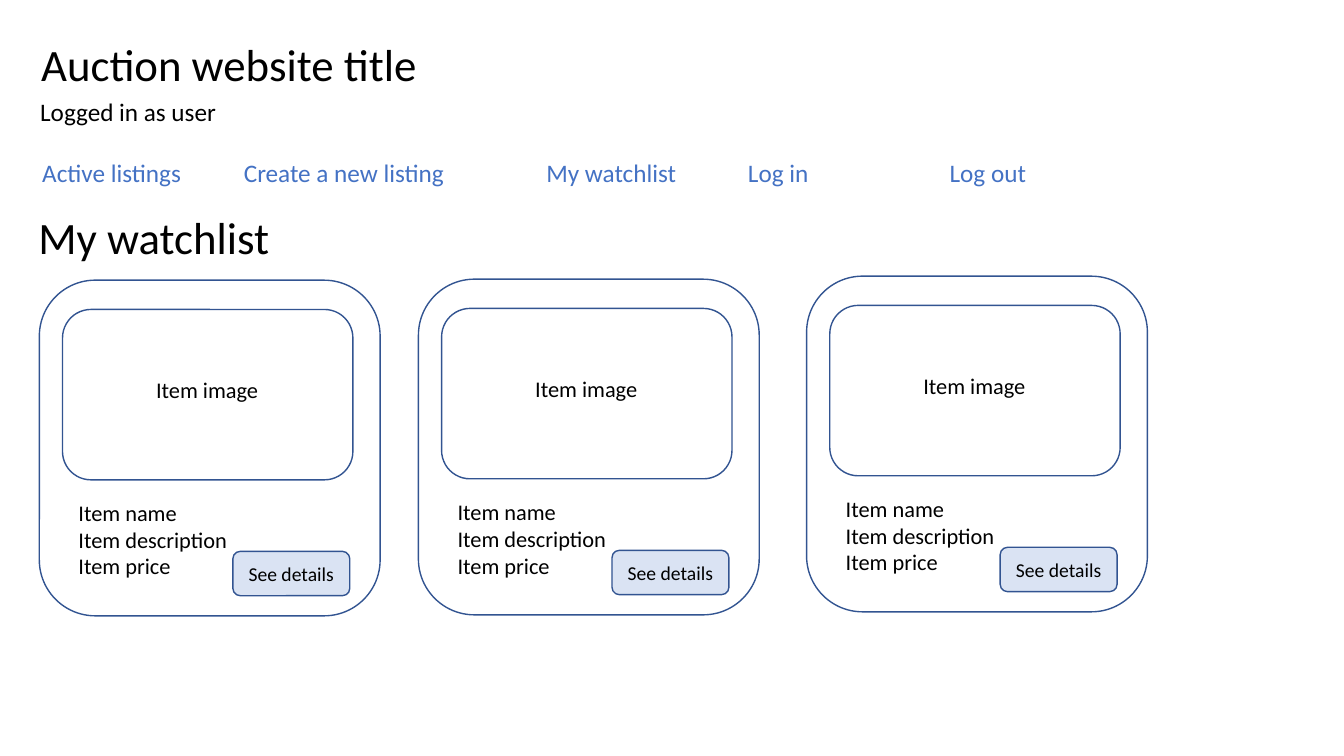
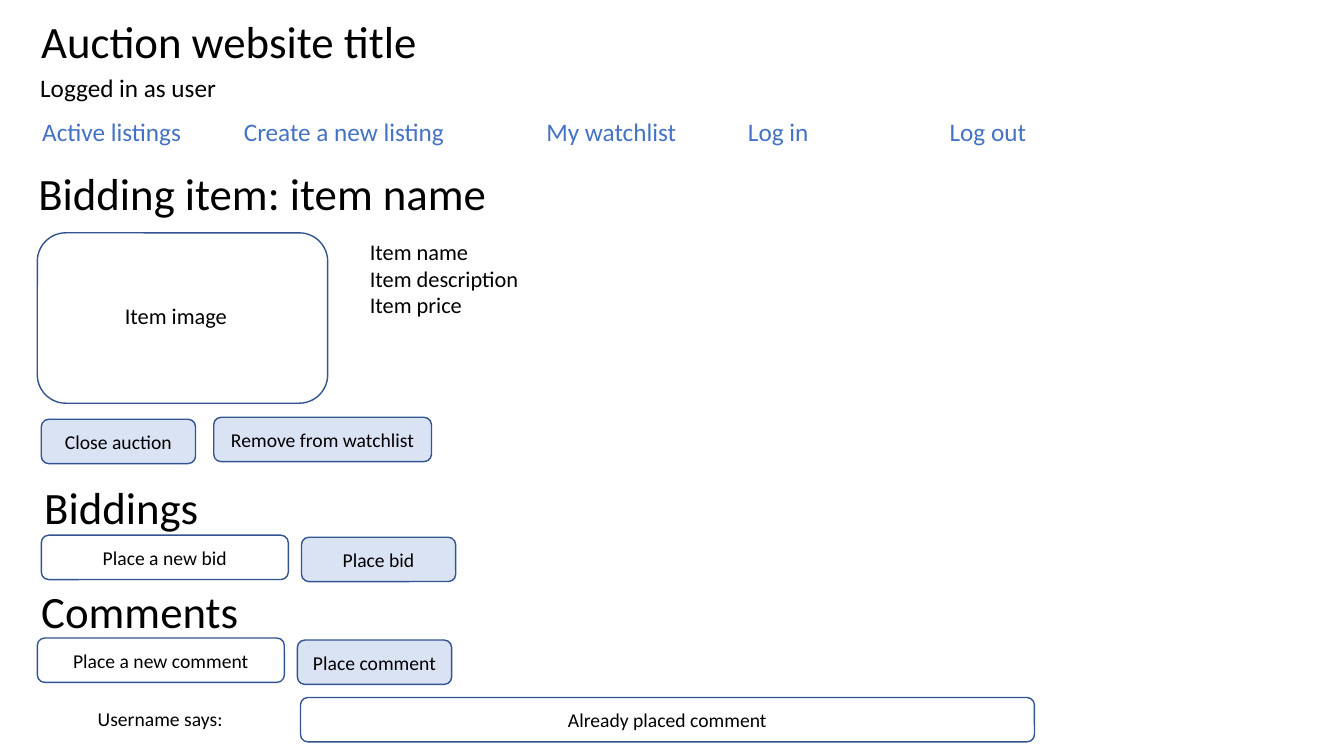
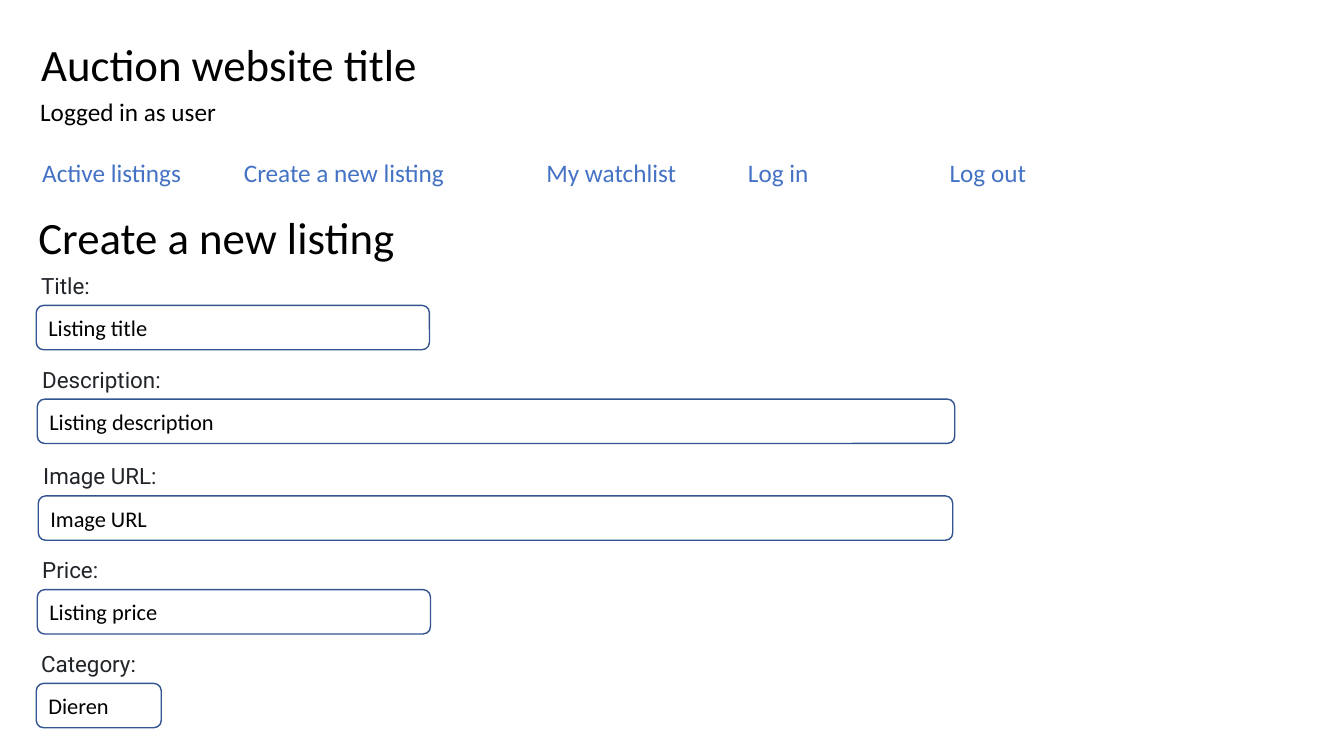
from lxml import etree
from pptx import Presentation
from pptx import util as u
from pptx.dml.color import RGBColor
from pptx.enum import shapes, text
from pptx.oxml import ns

SCALE = 9144
COLOURS = {"text": "000000", "link": "4472C4", "label": "212529",
           "outline": "325491", "button": "DAE3F3"}
STYLES = {
    "heading": ({"size": u.Pt(32), "name": "Calibri"}, "text"),
    "status": ({"size": u.Pt(18), "name": "Calibri"}, "text"),
    "link": ({"size": u.Pt(18), "name": "Calibri"}, "link"),
    "body": ({"size": u.Pt(16), "name": "Calibri"}, "text"),
    "small": ({"size": u.Pt(14), "name": "Calibri"}, "text"),
    "label": ({"size": u.Pt(16), "name": "Roboto"}, "label"),
}
LINKS = ["Active listings", "Create a new listing", "My watchlist", "Log in", "Log out"]
LINK_STOPS = [200, 500, 700, 900]
ITEM_LINES = ["Item name", "Item description", "Item price"]
HEADER_TOPS = (32, 91, 151, 203)
COMPACT_TOPS = (9, 67, 111, 159)
CARDS = [(39, 278), (415, 277), (800, 274)]
FIELDS = [
    ("Title:", "Listing title", 31, 265, 390),
    ("Description:", "Listing description", 32, 358, 910),
    ("Image URL:", "Image URL", 33, 454, 907),
    ("Price:", "Listing price", 32, 547, 390),
    ("Category:", "Dieren", 31, 640, 124),
]
BUTTONS = [
    ("Close auction", 41, 416, 153),
    ("Remove from watchlist", 212, 414, 216),
    ("Place bid", 299, 533, 153),
    ("Place comment", 295, 635, 153),
]
INPUTS = [
    ("Place a new bid", 41, 531, 245),
    ("Place a new comment", 37, 633, 245),
    ("Already placed comment", 298, 692, 728),
]


def px(*lengths):
    return [u.Emu(length * SCALE) for length in lengths]


def colour(name):
    return RGBColor.from_string(COLOURS[name])


class Wireframe:
    """Draws the auction site's pages in one shared style."""

    def __init__(self):
        self.presentation = Presentation()
        self.presentation.slide_width, self.presentation.slide_height = px(1333, 750)
        self.slide = None

    def page(self, title, tops, width=465):
        layout = self.presentation.slide_layouts[5]
        self.slide = self.presentation.slides.add_slide(layout)
        site_top, status_top, links_top, title_top = tops
        self.text(["Auction website title"], "heading", 31, site_top, 465, 64)
        self.text(["Logged in as user"], "status", 30, status_top, 465, 40)
        self.links(links_top)
        heading = self.slide.shapes.title
        heading.left, heading.top, heading.width, heading.height = px(28, title_top, width, 64)
        self.set_text(heading, [title], "heading")

    def set_text(self, shape, lines, style, align="LEFT", anchor="TOP"):
        frame = shape.text_frame
        layout = {"word_wrap": True, "auto_size": text.MSO_AUTO_SIZE.NONE,
                  "vertical_anchor": text.MSO_ANCHOR[anchor]}
        for name, value in layout.items():
            setattr(frame, name, value)
        frame.text = "\n".join(lines)
        values, colour_name = STYLES[style]
        for paragraph in frame.paragraphs:
            paragraph.alignment = text.PP_ALIGN[align]
            font = paragraph.runs[0].font
            for name, value in values.items():
                setattr(font, name, value)
            font.color.rgb = colour(colour_name)

    def text(self, lines, style, left, top, width, height):
        shape = self.slide.shapes.add_textbox(*px(left, top, width, height))
        self.set_text(shape, lines, style)
        return shape

    def links(self, top):
        shape = self.text(["\t".join(LINKS)], "link", 32, top, 1051, 40)
        properties = shape.text_frame.paragraphs[0]._p.get_or_add_pPr()
        stops = etree.SubElement(properties, ns.qn("a:tabLst"))
        for stop in LINK_STOPS:
            etree.SubElement(stops, ns.qn("a:tab"), pos=str(stop * SCALE), algn="l")

    def box(self, left, top, width, height, fill=None, line="outline"):
        shape = self.slide.shapes.add_shape(
            shapes.MSO_SHAPE.ROUNDED_RECTANGLE, *px(left, top, width, height))
        shape.shadow.inherit = False
        for target, name in ((shape.fill, fill), (shape.line.fill, line)):
            if name:
                target.solid()
                target.fore_color.rgb = colour(name)
            else:
                target.background()
        if line:
            shape.line.width = u.Pt(1)
        return shape

    def control(self, label, left, top, width, style="small", align="CENTER", **look):
        shape = self.box(left, top, width, 44, **look)
        self.set_text(shape, [label], style, align, "MIDDLE")

    def button(self, label, left, top, width):
        self.control(label, left, top, width, fill="button")

    def picture_box(self, left, top, label_left, label_top):
        self.box(left, top, 288, 169)
        self.text(["Item image"], "body", label_left, label_top, 155, 37)

    def item_lines(self, left, top):
        self.text(ITEM_LINES, "body", left, top, 284, 91)

    def card(self, left, top):
        self.box(left, top, 338, 333)
        self.picture_box(left + 23, top + 29, left + 106, top + 90)
        self.item_lines(left + 29, top + 212)
        self.button("See details", left + 192, top + 269, 116)

    def field(self, label, hint, left, top, width):
        self.text([label], "label", left, top, 851, 37)
        self.control(hint, left + 5, top + 38, width, style="body", align="LEFT")


def main():
    wireframe = Wireframe()

    wireframe.page("My watchlist", HEADER_TOPS)
    for card in CARDS:
        wireframe.card(*card)

    wireframe.page("Bidding item: item name", COMPACT_TOPS, 561)
    wireframe.picture_box(37, 231, 114, 295)
    wireframe.item_lines(357, 231)
    for section, left, top in (("Biddings", 34, 471), ("Comments", 31, 574)):
        wireframe.text([section], "heading", left, top, 561, 64)
    for button in BUTTONS:
        wireframe.button(*button)
    for entry in INPUTS:
        wireframe.control(*entry)
    wireframe.control("Username says:", 36, 691, 246, line=None)

    wireframe.page("Create a new listing", HEADER_TOPS)
    for field in FIELDS:
        wireframe.field(*field)

    wireframe.presentation.save("out.pptx")


if __name__ == "__main__":
    main()
